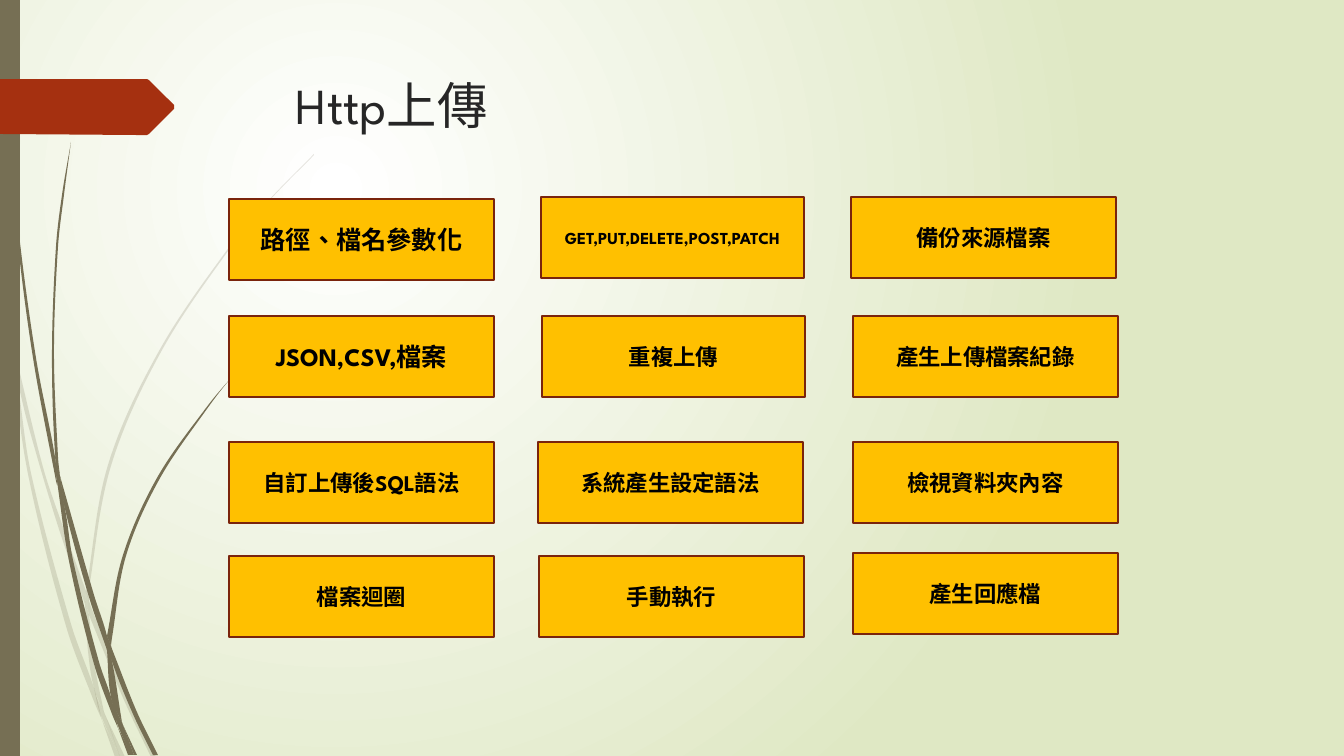
from math import dist

from lxml import etree
from pptx import Presentation
from pptx.dml.color import RGBColor
from pptx.enum.lang import MSO_LANGUAGE_ID
from pptx.enum.shapes import MSO_SHAPE
from pptx.enum.text import MSO_ANCHOR, PP_ALIGN
from pptx.oxml.ns import qn
from pptx.util import Pt

RECTANGLE = MSO_SHAPE.RECTANGLE
MIDDLE, TOP = MSO_ANCHOR.MIDDLE, MSO_ANCHOR.TOP
CENTER, LEFT = PP_ALIGN.CENTER, PP_ALIGN.LEFT
CHINESE = MSO_LANGUAGE_ID.TRADITIONAL_CHINESE

EMU_PER_PX = 914400 / 100.8
FONT = "League Spartan"
WHITE = RGBColor(0xFF, 0xFF, 0xFF)
PALE_GREEN = RGBColor(0xDF, 0xE8, 0xC4)
OLIVE = RGBColor(0x76, 0x6F, 0x54)
RUST = RGBColor(0xA5, 0x30, 0x10)
DARK_RUST = RGBColor(0x7A, 0x24, 0x0C)
AMBER = RGBColor(0xFF, 0xC0, 0x00)
CHARCOAL = RGBColor(0x26, 0x26, 0x26)
BLACK = RGBColor(0x00, 0x00, 0x00)

TITLE = "Http上傳"
CARD_ROWS = [
    [("路徑、檔名參數化", 18), ("GET,PUT,DELETE,POST,PATCH", 12), ("備份來源檔案", 16)],
    [("JSON,CSV,檔案", 18), ("重複上傳", 16), ("產生上傳檔案紀錄", 16)],
    [("自訂上傳後SQL語法", 16), ("系統產生設定語法", 16), ("檢視資料夾內容", 16)],
    [("檔案迴圈", 16), ("手動執行", 16), ("產生回應檔", 16)],
]
COLUMN_LEFTS = [229, 541, 853]
ROW_TOPS = [199, 316, 442, 556]
CARD_WIDTH, CARD_HEIGHT = 265, 81
# (row, column): shift right, shift down, extra width
CARD_NUDGES = {
    (0, 1): (0, -2, -2), (0, 2): (-2, -2, 0), (1, 1): (1, 0, -2),
    (2, 1): (-3, 0, 0), (3, 1): (-2, 0, 0), (3, 2): (0, -3, 0),
}
ARROW = [(0, 79), (147, 79), (149, 80), (174, 105), (174, 109), (149, 134),
         (147, 135), (137, 135), (0, 134)]

# Grass pieces: the two curved edges of each, from top to bottom
LIGHT_GRASS = [
    ([(0, 284), (9, 325), (11, 353)], [(0, 301), (10, 347), (11, 353)]),
    ([(14, 348), (43, 467), (62, 524), (86, 591)],
     [(17, 379), (29, 428), (58, 526), (85, 604)]),
    ([(89, 601), (93, 612), (128, 698), (156, 757)],
     [(89, 615), (124, 700), (151, 757)]),
    ([(106, 717), (125, 757)], [(106, 717), (120, 757)]),
    ([(11, 353), (17, 379), (31, 473), (71, 624), (94, 688), (102, 720)],
     [(11, 353), (28, 474), (66, 626), (93, 699), (102, 720)]),
    ([(85, 604), (89, 615), (92, 651), (104, 712), (106, 717)],
     [(85, 604), (88, 651), (94, 688), (106, 717)]),
    ([(314, 154), (270, 199), (230, 246), (159, 351), (108, 465), (86, 591)],
     [(314, 155), (270, 200), (231, 247), (161, 352), (111, 466), (89, 589),
      (89, 601)]),
    ([(102, 720), (120, 757)], [(102, 720), (115, 757)]),
    ([(86, 591), (89, 601), (89, 615)], [(85, 604), (89, 613), (89, 615)]),
    ([(94, 688), (97, 698), (106, 717), (120, 757)],
     [(94, 688), (100, 713), (120, 757)]),
]
DARK_GRASS = [
    ([(3, 0), (4, 48), (7, 111), (17, 235), (33, 358), (56, 481), (57, 485)],
     [(4, 0), (5, 48), (8, 110), (19, 234), (36, 358), (55, 457), (57, 485)]),
    ([(60, 476), (94, 595), (107, 636), (107, 650)],
     [(60, 476), (65, 509), (89, 597), (107, 650)]),
    ([(111, 646), (114, 654), (137, 712), (158, 755)],
     [(111, 646), (112, 661), (133, 714), (153, 755)]),
    ([(57, 481), (65, 509), (73, 560), (99, 662), (111, 697), (118, 728)],
     [(57, 481), (69, 561), (94, 664), (112, 714), (118, 728)]),
    ([(71, 142), (62, 195), (56, 247), (52, 352), (55, 453), (60, 476)],
     [(71, 142), (64, 195), (58, 247), (54, 352), (58, 457), (60, 476)]),
    ([(123, 725), (137, 755)], [(123, 725), (134, 755)]),
    ([(55, 453), (60, 476), (65, 509)], [(55, 453), (57, 481), (65, 509)]),
    ([(262, 347), (233, 376), (206, 408), (157, 478), (123, 555), (107, 636)],
     [(263, 347), (233, 376), (207, 409), (159, 480), (126, 556), (112, 638),
      (111, 646)]),
    ([(118, 728), (132, 755)], [(118, 728), (128, 755)]),
    ([(107, 650), (112, 661), (122, 722), (123, 725)],
     [(107, 650), (111, 697), (123, 725)]),
    ([(107, 636), (111, 646), (112, 661)], [(107, 636), (107, 650), (112, 661)]),
    ([(111, 697), (117, 712), (123, 725), (134, 755)],
     [(111, 697), (117, 723), (131, 755)]),
]


def px(value):
    return round(value * EMU_PER_PX)


def bezier_points(knots):
    """Two control points and an end point for each step along the knots."""
    padded = [knots[0], *knots, knots[-1]]
    points = []
    for before, start, end, after in zip(padded, padded[1:], padded[2:], padded[3:]):
        reach = dist(start, end) / 3
        out, back = reach / dist(before, end), reach / dist(start, after)
        points.append(tuple(s + (e - b) * out for b, s, e in zip(before, start, end)))
        points.append(tuple(e - (a - s) * back for s, e, a in zip(start, end, after)))
        points.append(end)
    return points


def style_fill(shape, color):
    shape.shadow.inherit = False
    shape.fill.solid()
    shape.fill.fore_color.rgb = color
    shape.line.fill.background()


def add_outline(slide, points, color):
    start, *others = [(px(x), px(y)) for x, y in points]
    builder = slide.shapes.build_freeform(*start)
    builder.add_line_segments(others, close=True)
    shape = builder.convert_to_shape()
    style_fill(shape, color)
    return shape


def add_grass(slide, edges, opacity):
    down, up = edges[0], edges[1][::-1]
    points = [down[0], *bezier_points(down), down[-1], up[0], up[0], *bezier_points(up)]
    grass = add_outline(slide, points, OLIVE)
    lines = list(grass._element.iter(qn("a:lnTo")))
    for first, second, third in zip(lines[::3], lines[1::3], lines[2::3]):
        curve = etree.Element(qn("a:cubicBezTo"))
        first.addprevious(curve)
        for line in (first, second, third):
            curve.append(line[0])
            line.getparent().remove(line)
    if opacity < 100:
        color = grass.fill._xPr.find(qn("a:solidFill"))[0]
        etree.SubElement(color, qn("a:alpha"), val=str(opacity * 1000))


def add_rectangle(slide, box, color):
    shape = slide.shapes.add_shape(RECTANGLE, *map(px, box))
    style_fill(shape, color)
    return shape


def write_text(shape, text, size, color, bold, align, anchor):
    frame = shape.text_frame
    frame.word_wrap = True
    frame.vertical_anchor = anchor
    paragraph = frame.paragraphs[0]
    paragraph.alignment = align
    run = paragraph.add_run()
    run.text = text
    run.font.name = FONT
    run.font.size = Pt(size)
    run.font.bold = bold
    run.font.color.rgb = color
    run.font.language_id = CHINESE


def paint_background(slide):
    fill = slide.background.fill
    fill.gradient()
    for stop, color in zip(fill.gradient_stops, (WHITE, PALE_GREEN)):
        stop.color.rgb = color
    gradient = slide.background._cSld.find(".//" + qn("a:gradFill"))
    gradient.remove(gradient.find(qn("a:lin")))
    circle = etree.SubElement(gradient, qn("a:path"), path="circle")
    etree.SubElement(circle, qn("a:fillToRect"),
                     l="50000", t="50000", r="100000", b="100000")


def main():
    presentation = Presentation()
    presentation.slide_width, presentation.slide_height = px(1344), px(756)
    slide = presentation.slides.add_slide(presentation.slide_layouts[6])
    paint_background(slide)
    for pieces, opacity in ((LIGHT_GRASS, 20), (DARK_GRASS, 100)):
        for edges in pieces:
            add_grass(slide, edges, opacity)
    add_rectangle(slide, (0, 0, 20, 756), OLIVE)
    add_outline(slide, ARROW, RUST)

    title = slide.shapes.add_textbox(*map(px, (286, 69, 983, 141)))
    write_text(title, TITLE, 36, CHARCOAL, False, LEFT, TOP)
    for row, cards in enumerate(CARD_ROWS):
        for column, (text, size) in enumerate(cards):
            right, down, wider = CARD_NUDGES.get((row, column), (0, 0, 0))
            card = add_rectangle(slide, (
                COLUMN_LEFTS[column] + right, ROW_TOPS[row] + down,
                CARD_WIDTH + wider, CARD_HEIGHT), AMBER)
            card.line.color.rgb = DARK_RUST
            card.line.width = Pt(1.25)
            write_text(card, text, size, BLACK, True, CENTER, MIDDLE)
    presentation.save("out.pptx")


if __name__ == "__main__":
    main()
